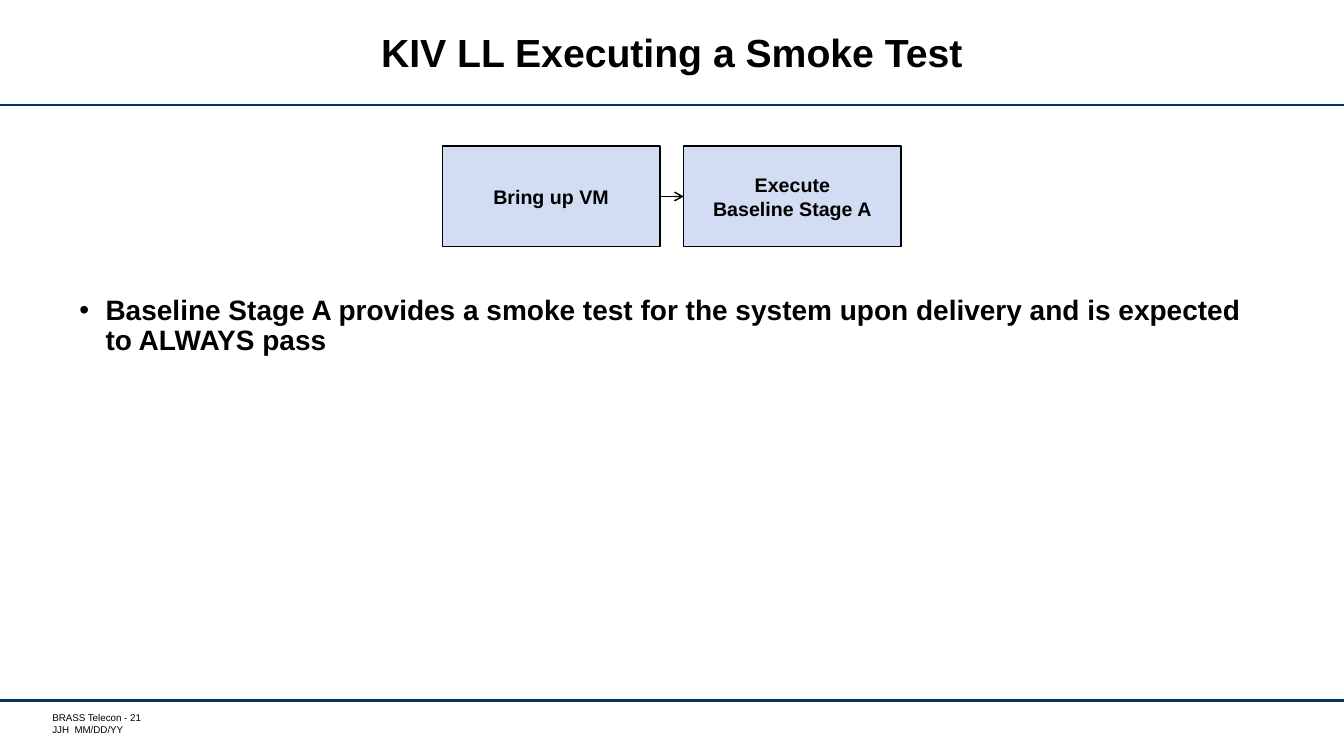
from lxml import etree
from pptx import Presentation
from pptx.dml.color import RGBColor
from pptx.enum.shapes import MSO_CONNECTOR, MSO_SHAPE
from pptx.enum.text import MSO_ANCHOR, PP_ALIGN
from pptx.oxml.ns import qn
from pptx.util import Cm, Pt

STRAIGHT = MSO_CONNECTOR.STRAIGHT
RECTANGLE = MSO_SHAPE.RECTANGLE
MIDDLE = MSO_ANCHOR.MIDDLE
LEFT, CENTER = PP_ALIGN.LEFT, PP_ALIGN.CENTER

BLACK = RGBColor(0x00, 0x00, 0x00)
NAVY = RGBColor(0x00, 0x37, 0x67)
PALE_BLUE = RGBColor(0xD2, 0xDC, 0xF2)

PAGE_WIDTH, PAGE_HEIGHT = Cm(33.87), Cm(19.05)


def write(frame, text, size, bold=True, align=LEFT):
    frame.word_wrap = True
    frame.text = text
    for para in frame.paragraphs:
        para.alignment = align
        for span in para.runs:
            span.font.name = "Arial"
            span.font.size = Pt(size)
            span.font.bold = bold
            span.font.color.rgb = BLACK


def add_line(page, start, end, color, width):
    line = page.shapes.add_connector(STRAIGHT, *start, *end)
    line.line.color.rgb = color
    line.line.width = Pt(width)
    etree.SubElement(line._element.spPr, qn("a:effectLst"))
    return line


def add_rule(page, top):
    add_line(page, (0, top), (PAGE_WIDTH, top), NAVY, 1.75)


def add_title(page, box, text):
    frame = page.shapes.add_textbox(*box).text_frame
    write(frame, text, 28, align=CENTER)
    frame.vertical_anchor = MIDDLE
    frame.paragraphs[0].line_spacing = Pt(28)


def add_step(page, box, text):
    step = page.shapes.add_shape(RECTANGLE, *box)
    step.shadow.inherit = False
    step.fill.solid()
    step.fill.fore_color.rgb = PALE_BLUE
    step.line.color.rgb = BLACK
    step.line.width = Pt(1)
    write(step.text_frame, text, 14, align=CENTER)
    step.text_frame.vertical_anchor = MIDDLE


def add_flow(page, box, gap, steps):
    left, top, width, height = box
    step_width = (width - gap * (len(steps) - 1)) // len(steps)
    middle = top + height // 2
    for index, text in enumerate(steps):
        step_left = left + index * (step_width + gap)
        add_step(page, (step_left, top, step_width, height), text)
        if index:
            arrow = add_line(page, (step_left - gap, middle), (step_left, middle), BLACK, 1)
            etree.SubElement(arrow.line._get_or_add_ln(), qn("a:tailEnd"), type="arrow")


def add_bullets(page, box, items):
    frame = page.shapes.add_textbox(*box).text_frame
    write(frame, "\n".join(items), 20)
    for para in frame.paragraphs:
        para.line_spacing = 0.9
        para.space_before = Pt(12)
        properties = para._p.get_or_add_pPr()
        properties.set("marL", str(Cm(0.66)))
        properties.set("indent", str(-Cm(0.66)))
        etree.SubElement(properties, qn("a:buFont"), typeface="Arial")
        etree.SubElement(properties, qn("a:buChar"), char="•")


def add_footer(page, box, text):
    frame = page.shapes.add_textbox(*box).text_frame
    write(frame, text, 7, bold=False)
    frame.margin_left = Cm(0.13)
    frame.margin_top = frame.margin_right = frame.margin_bottom = 0


def main():
    deck = Presentation()
    deck.slide_width, deck.slide_height = PAGE_WIDTH, PAGE_HEIGHT
    page = deck.slides.add_slide(deck.slide_layouts[6])
    add_rule(page, Cm(2.64))
    add_rule(page, Cm(17.65))
    add_footer(page, (Cm(1.19), Cm(17.93), Cm(4.04), Cm(0.61)),
               "BRASS Telecon - 21\nJJH  MM/DD/YY")
    add_bullets(page, (Cm(1.75), Cm(7.34), Cm(30.33), Cm(9.68)),
                ["Baseline Stage A provides a smoke test for the system "
                 "upon delivery and is expected to ALWAYS pass"])
    add_title(page, (Cm(3.48), Cm(0.28), Cm(26.9), Cm(2.26)),
              "KIV LL Executing a Smoke Test")
    add_flow(page, (Cm(11.15), Cm(3.68), Cm(11.56), Cm(2.54)), Cm(0.6),
             ["Bring up VM", "Execute\nBaseline Stage A"])
    deck.save("out.pptx")


if __name__ == "__main__":
    main()
